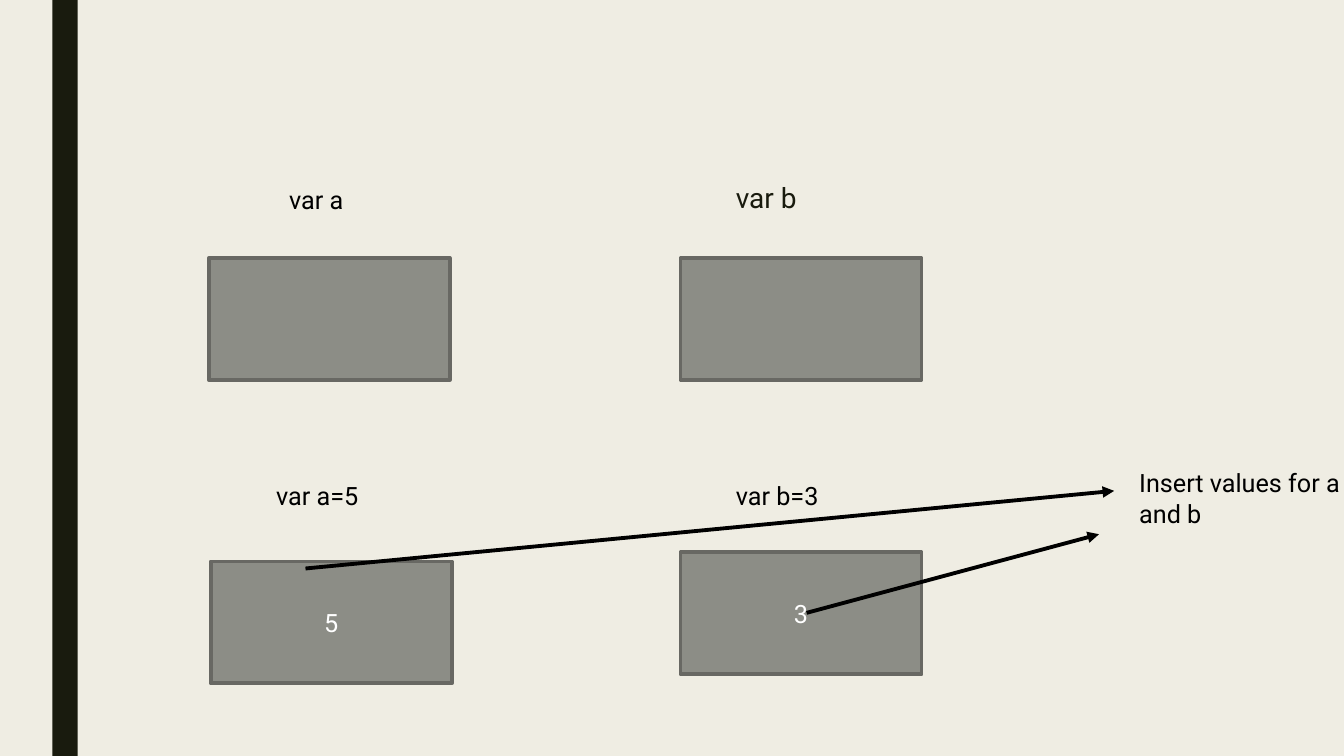
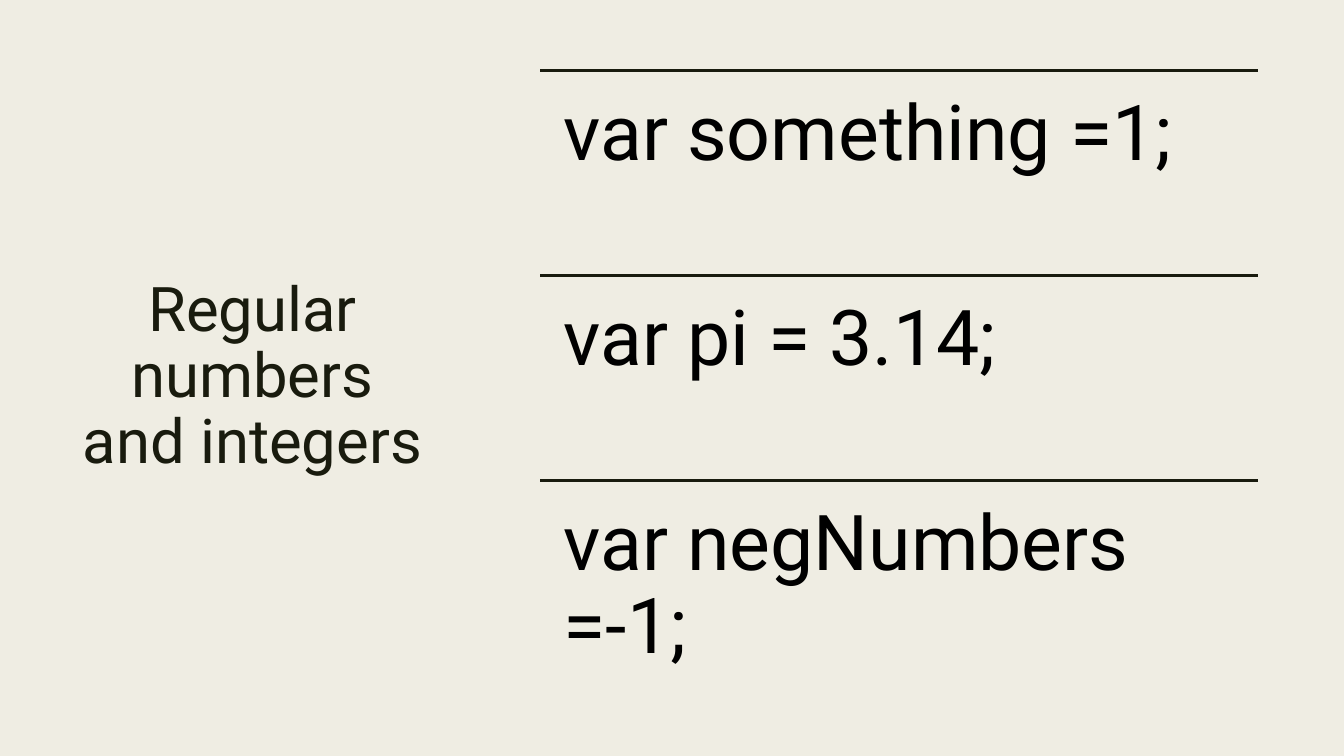
from dataclasses import dataclass
from lxml.etree import SubElement
from pptx import Presentation
from pptx.dml.color import RGBColor
from pptx.enum.shapes import MSO_CONNECTOR, MSO_SHAPE
from pptx.enum.text import MSO_ANCHOR, PP_ALIGN
from pptx.oxml.ns import qn
from pptx.shapes.autoshape import Shape
from pptx.slide import Slide
from pptx.util import Inches, Pt

FONT = "Roboto"
EDGE = 2.75
HUES = {
    "back": "EFEDE3",
    "dark": "191B0E",
    "box": "8C8D86",
    "edge": "686863",
    "black": "000000",
    "white": "FFFFFF",
}


@dataclass
class Area:
    left: float
    top: float
    width: float
    height: float


@dataclass
class Style:
    size: float = 18
    hue: str = "black"
    align: PP_ALIGN = PP_ALIGN.LEFT
    anchor: MSO_ANCHOR = MSO_ANCHOR.TOP
    pitch: float = 1.0
    inset: tuple[float, float] = (0.1, 0.05)


@dataclass
class Label:
    text: str
    area: Area
    style: Style


@dataclass
class Arrow:
    start: tuple[float, float]
    end: tuple[float, float]


def color(name: str) -> RGBColor:
    return RGBColor.from_string(HUES[name])


def place(area: Area) -> list[Inches]:
    return [Inches(n) for n in (area.left, area.top, area.width, area.height)]


def write(shape: Shape, text: str, style: Style) -> None:
    frame = shape.text_frame
    frame.text = text
    frame.word_wrap = True
    frame.vertical_anchor = style.anchor
    side, end = style.inset
    frame.margin_left = frame.margin_right = Inches(side)
    frame.margin_top = frame.margin_bottom = Inches(end)
    for para in frame.paragraphs:
        para.alignment = style.align
        para.line_spacing = style.pitch
        for run in para.runs:
            run.font.name = FONT
            run.font.size = Pt(style.size)
            run.font.color.rgb = color(style.hue)


def add_label(slide: Slide, label: Label) -> None:
    write(slide.shapes.add_textbox(*place(label.area)), label.text, label.style)


def add_rect(slide: Slide, area: Area, fill: str, edge: str = "") -> Shape:
    rect = slide.shapes.add_shape(MSO_SHAPE.RECTANGLE, *place(area))
    rect.shadow.inherit = False
    rect.fill.solid()
    rect.fill.fore_color.rgb = color(fill)
    if edge:
        rect.line.color.rgb = color(edge)
        rect.line.width = Pt(EDGE)
    else:
        rect.line.fill.background()
    return rect


def add_line(slide: Slide, path: Arrow, hue: str, head: bool = False) -> None:
    ends = [Inches(n) for n in (*path.start, *path.end)]
    line = slide.shapes.add_connector(MSO_CONNECTOR.STRAIGHT, *ends)
    line.line.color.rgb = color(hue)
    line.line.width = Pt(EDGE)
    if head:
        SubElement(line.line._get_or_add_ln(), qn("a:tailEnd"), type="triangle")
    SubElement(line._element.spPr, qn("a:effectLst"))


def add_slide(deck: Presentation) -> Slide:
    slide = deck.slides.add_slide(deck.slide_layouts[6])
    slide.background.fill.solid()
    slide.background.fill.fore_color.rgb = color("back")
    return slide


# Variables drawn as boxes
PLAIN = Style()
VALUE = Style(hue="white", align=PP_ALIGN.CENTER, anchor=MSO_ANCHOR.MIDDLE)
BOXES = [(2.07, 2.56, ""), (6.75, 2.56, ""), (2.09, 5.57, "5"), (6.75, 5.48, "3")]
NAMES = [
    Label("var a", Area(2.77, 1.78, 1, 0.4), PLAIN),
    Label("var b", Area(7.2, 1.77, 1.37, 0.42), Style(20, "dark", pitch=0.94)),
    Label("var a=5", Area(2.64, 4.72, 2.25, 0.4), PLAIN),
    Label("var b=3", Area(7.2, 4.72, 2.25, 0.4), PLAIN),
    Label("Insert values for a and b", Area(11.2, 4.59, 2.39, 0.71), PLAIN),
]
ARROWS = [Arrow((3.03, 5.64), (11.05, 4.87)), Arrow((8, 6.08), (10.9, 5.3))]


def draw_boxes(deck: Presentation) -> None:
    slide = add_slide(deck)
    add_rect(slide, Area(0.52, 0, 0.25, 7.5), "dark")
    for left, top, value in BOXES:
        box = add_rect(slide, Area(left, top, 2.39, 1.21), "box", "edge")
        if value:
            write(box, value, VALUE)
    for name in NAMES:
        add_label(slide, name)
    for arrow in ARROWS:
        add_line(slide, arrow, "black", head=True)


# Number examples in ruled rows
TITLE = Style(44, "dark", PP_ALIGN.CENTER, MSO_ANCHOR.MIDDLE, 0.89)
CODE = Style(55, pitch=0.9, inset=(0.23, 0.23))
ROWS = ["var something =1;", "var pi = 3.14;", "var negNumbers =-1;"]
LIST = Area(5.36, 0.7, 7.12, 6.1)


def draw_rows(deck: Presentation) -> None:
    slide = add_slide(deck)
    title = Area(0.7, LIST.top, 3.61, LIST.height)
    add_label(slide, Label("Regular numbers and integers", title, TITLE))
    step = LIST.height / len(ROWS)
    for index, text in enumerate(ROWS):
        top = LIST.top + index * step
        rule = Arrow((LIST.left, top), (LIST.left + LIST.width, top))
        add_line(slide, rule, "dark")
        add_label(slide, Label(text, Area(LIST.left, top, LIST.width, step), CODE))


def main() -> None:
    deck = Presentation()
    deck.slide_width = Inches(13.33)
    deck.slide_height = Inches(7.5)
    draw_boxes(deck)
    draw_rows(deck)
    deck.save("out.pptx")


if __name__ == "__main__":
    main()
